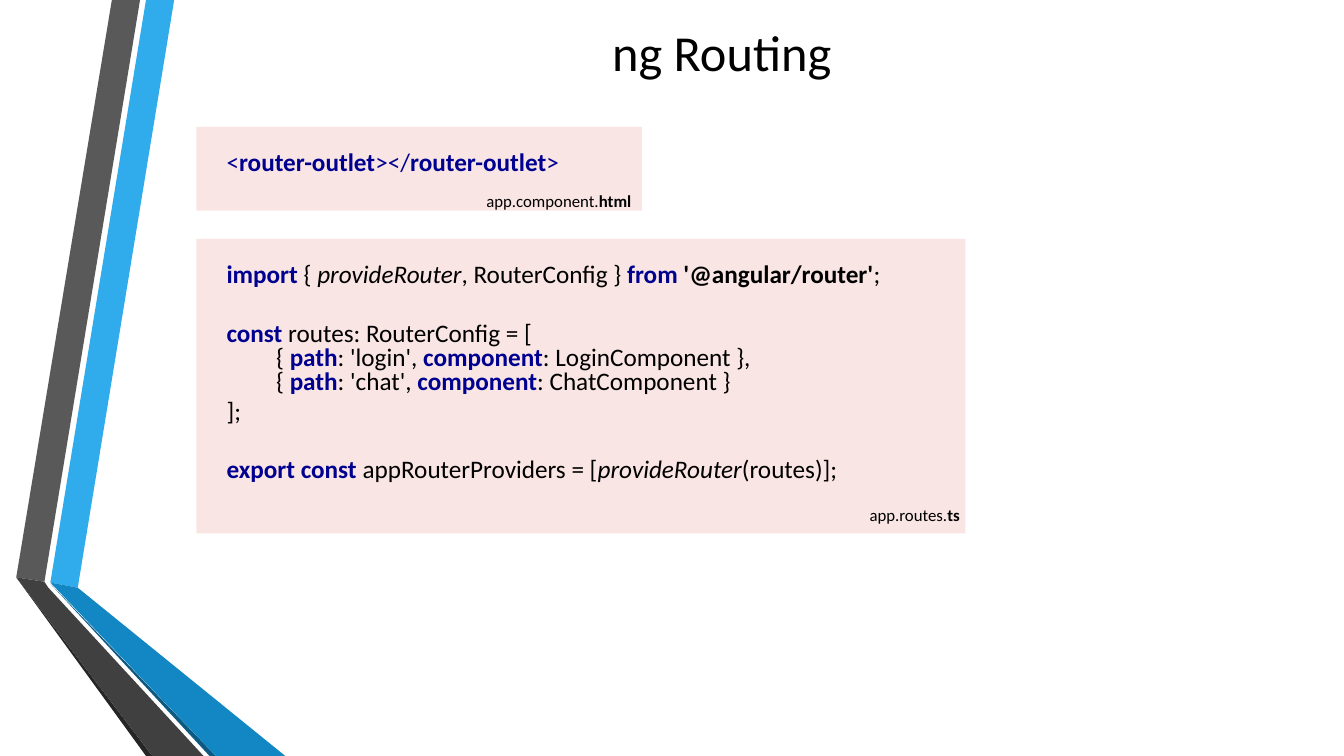
from pptx import Presentation
from pptx import util as u
from pptx.dml.color import RGBColor
from pptx.enum import shapes, text
from pptx.oxml.ns import qn
from lxml import etree

BLACK, NAVY = "000000", "000090"


def rgb(value):
    return RGBColor.from_string(value)


def add_runs(p, runs, size):
    """Add (text, style, colour) runs; style may hold b for bold, i for italic."""
    for content, style, color in runs:
        r = p.add_run()
        r.text = content
        r.font.name = "Calibri"
        r.font.size = u.Pt(size)
        r.font.bold = "b" in style
        r.font.italic = "i" in style
        r.font.color.rgb = rgb(color)


prs = Presentation()
prs.slide_width, prs.slide_height = u.Cm(33.87), u.Cm(19.05)
s = prs.slides.add_slide(prs.slide_layouts[6])

# Folded ribbons on the left, points in hundredths of a centimetre
ribbons = [
    ("30ACEC", [(127, 1468), (196, 1481), (439, 0), (368, 0)]),
    ("595959", [(353, 0), (282, 0), (41, 1455), (112, 1466)]),
    ("262626", [(41, 1455), (368, 1905), (384, 1905)]),
    ("0C5A82", [(127, 1471), (528, 1905), (544, 1905)]),
    ("1287C3", [(127, 1468), (544, 1905), (719, 1905), (196, 1481)]),
    ("404040", [(513, 1905), (122, 1481), (112, 1466), (41, 1455), (384, 1905)]),
]
for color, points in ribbons:
    builder = s.shapes.build_freeform(*points[0], scale=u.Cm(0.01))
    builder.add_line_segments(points[1:], close=True)
    sp = builder.convert_to_shape()
    sp.shadow.inherit = False
    sp.fill.solid()
    sp.fill.fore_color.rgb = rgb(color)
    sp.line.fill.background()

# Title
sp = s.shapes.add_textbox(u.Cm(4.27), u.Cm(0.61), u.Cm(27.84), u.Cm(1.37))
tf = sp.text_frame
tf.word_wrap = True
tf.vertical_anchor = text.MSO_ANCHOR.MIDDLE
tf.paragraphs[0].alignment = text.PP_ALIGN.CENTER
add_runs(tf.paragraphs[0], [("ng Routing", "", BLACK)], 36)

# Code lines: space before in points, indent in cm, runs
LINE, GAP, NESTED = 3.6, 24.7, 1.25
routes_code = [
    (LINE, 0, [("import ", "b", NAVY), ("{ ", "", BLACK), ("provideRouter", "i", BLACK),
               (", RouterConfig } ", "", BLACK), ("from", "b", NAVY),
               (" '@angular/router'", "b", BLACK), (";", "", BLACK)]),
    (GAP, 0, [("const ", "b", NAVY), ("routes: RouterConfig = [", "", BLACK)]),
]
for route, ending in (("'login'", "LoginComponent },"), ("'chat'", "ChatComponent }")):
    routes_code.append((0, NESTED, [
        ("{ ", "", BLACK), ("path", "b", NAVY), (f": {route}, ", "", BLACK),
        ("component", "b", NAVY), (f": {ending}", "", BLACK)]))
routes_code += [
    (LINE, 0, [("];", "", BLACK)]),
    (GAP, 0, [("export const ", "b", NAVY), ("appRouterProviders = [", "", BLACK),
              ("provideRouter", "i", BLACK), ("(routes)];", "", BLACK)]),
]
outlet_code = [
    (LINE, 0, [("<", "", NAVY), ("router-outlet", "b", NAVY), ("></", "", NAVY),
               ("router-outlet", "b", NAVY), (">", "", NAVY)]),
]

# Code panels, each with its file name at the lower right
panels = [
    ((4.95, 6.02, 19.38, 7.42), routes_code, (20.83, 12.6, 3.61, 0.79), "app.routes.", "ts"),
    ((4.95, 3.2, 11.23, 2.11), outlet_code, (11.71, 4.67, 4.45, 0.76), "app.component.", "html"),
]
for panel_box, code, label_box, stem, extension in panels:
    sp = s.shapes.add_shape(shapes.MSO_SHAPE.RECTANGLE, *map(u.Cm, panel_box))
    sp.shadow.inherit = False
    sp.line.fill.background()
    sp.fill.solid()
    sp.fill.fore_color.rgb = rgb("D64A3B")
    fill_color = sp.fill._xPr.find(".//" + qn("a:srgbClr"))
    etree.SubElement(fill_color, qn("a:alpha"), val="14000")
    tf = sp.text_frame
    tf.word_wrap = True
    tf.vertical_anchor = text.MSO_ANCHOR.TOP
    tf.margin_left = tf.margin_right = u.Cm(0.76)
    tf.margin_top = tf.margin_bottom = u.Cm(0.64)
    for i, (before, indent, runs) in enumerate(code):
        p = tf.add_paragraph() if i else tf.paragraphs[0]
        p.alignment = text.PP_ALIGN.LEFT
        p.line_spacing = 0.8
        p.space_before = u.Pt(before)
        p._p.get_or_add_pPr().set("marL", str(u.Cm(indent)))
        add_runs(p, runs, 18)

    sp = s.shapes.add_textbox(*map(u.Cm, label_box))
    tf = sp.text_frame
    tf.word_wrap = True
    tf.paragraphs[0].alignment = text.PP_ALIGN.RIGHT
    add_runs(tf.paragraphs[0], [(stem, "", BLACK), (extension, "b", BLACK)], 12)

prs.save("out.pptx")
